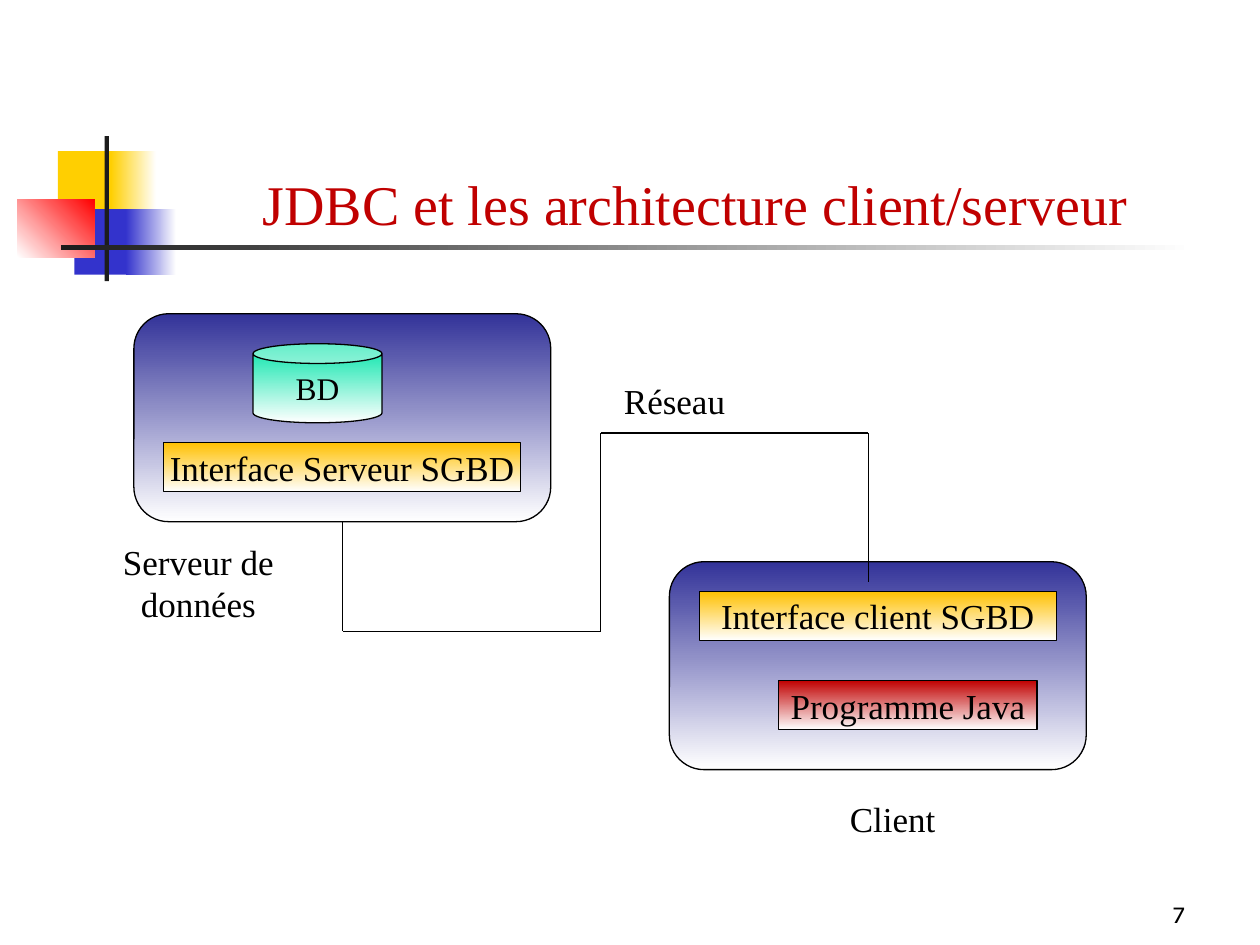
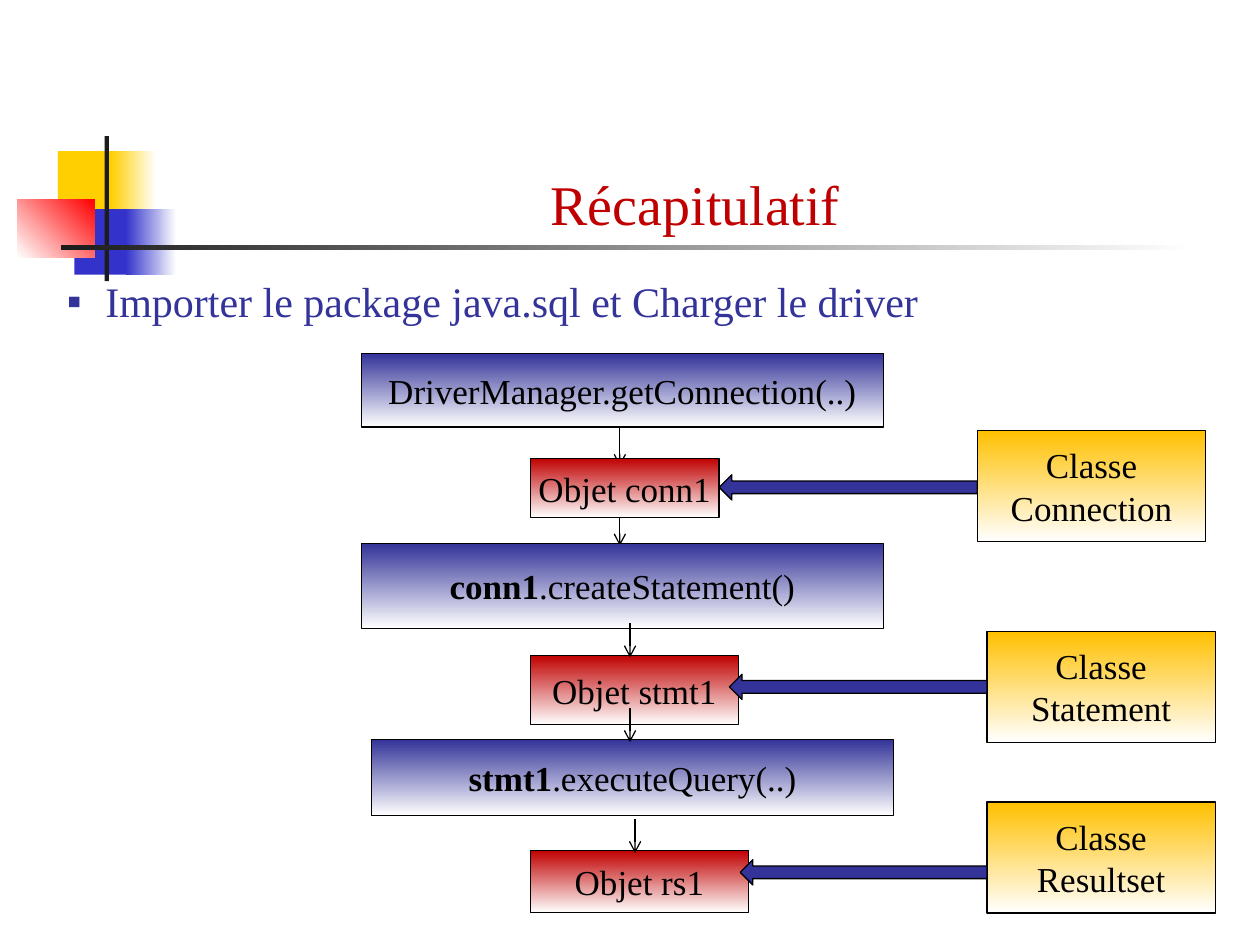
from itertools import pairwise

from lxml.etree import SubElement
from pptx import Presentation
from pptx.dml.color import RGBColor
from pptx.enum.shapes import MSO_CONNECTOR, MSO_SHAPE
from pptx.enum.text import MSO_ANCHOR, MSO_AUTO_SIZE, PP_ALIGN
from pptx.oxml.ns import qn
from pptx.util import Pt

BLACK, WHITE, CHARCOAL = "000000", "FFFFFF", "1C1C1C"
NAVY, AMBER, CRIMSON, MINT = "333399", "FFC000", "C00000", "00E4A8"
YELLOW, BLUE, RED = "FFCF01", "3333CC", "FF0000"
SERIF, SANS = "Times New Roman", "Karla"
TITLE_ONLY, TITLE_AND_BODY = 5, 1


def rgb(value):
    """Turn a hex string into a colour."""
    return RGBColor.from_string(value)


def place(shape, left, top, width, height):
    """Move and size a shape, in points."""
    shape.left, shape.top = Pt(left), Pt(top)
    shape.width, shape.height = Pt(width), Pt(height)


class Deck:
    """Holds the style and the slide being drawn."""

    def __init__(self):
        """Open an empty 10 by 7.5 inch presentation."""
        self.presentation = Presentation()
        self.presentation.slide_width = Pt(720)
        self.presentation.slide_height = Pt(540)
        self.slide = None

    def new_slide(self, layout, title):
        """Start a slide and set its title."""
        layouts = self.presentation.slide_layouts
        self.slide = self.presentation.slides.add_slide(layouts[layout])
        shape = self.slide.shapes.title
        place(shape, 90.7, 49, 613.4, 90)
        frame = shape.text_frame
        frame.vertical_anchor = MSO_ANCHOR.BOTTOM
        frame.auto_size = MSO_AUTO_SIZE.NONE
        self.fill_text(frame, title, size=32, color=CRIMSON)

    def fill_text(self, frame, text, size=20, color=BLACK, font=SERIF,
                  align=PP_ALIGN.CENTER, bold=""):
        """Fill a frame, one paragraph a line, after an optional bold start."""
        for index, line in enumerate(text.split("\n")):
            paragraph = frame.add_paragraph() if index else frame.paragraphs[0]
            if bold:
                paragraph.add_run().text = bold
                paragraph.runs[0].font.bold = True
            paragraph.add_run().text = line
            paragraph.alignment = align
            paragraph.font.name = font
            paragraph.font.size = Pt(size)
            paragraph.font.color.rgb = rgb(color)

    def shape(self, kind, box, color, fade_to=None, angle=270, outline=BLACK):
        """Add a preset shape with a plain or a fading fill."""
        shape = self.slide.shapes.add_shape(kind, *map(Pt, box))
        shape.shadow.inherit = False
        if fade_to:
            shape.fill.gradient()
            shape.fill.gradient_angle = angle
            for stop, value in zip(shape.fill.gradient_stops, (color, fade_to)):
                stop.color.rgb = rgb(value)
        else:
            shape.fill.solid()
            shape.fill.fore_color.rgb = rgb(color)
        if outline:
            shape.line.color.rgb = rgb(outline)
            shape.line.width = Pt(0.75)
        else:
            shape.line.fill.background()
        return shape

    def block(self, box, color, text, kind=MSO_SHAPE.RECTANGLE, size=20, bold=""):
        """Add a labelled shape that fades to white."""
        frame = self.shape(kind, box, color, WHITE).text_frame
        frame.word_wrap = False
        frame.vertical_anchor = MSO_ANCHOR.MIDDLE
        self.fill_text(frame, text, size, bold=bold)

    def label(self, box, text, anchor=MSO_ANCHOR.TOP, **style):
        """Add a free text."""
        frame = self.slide.shapes.add_textbox(*map(Pt, box)).text_frame
        frame.word_wrap = True
        frame.vertical_anchor = anchor
        self.fill_text(frame, text, **style)

    def line(self, start, end, arrow=False):
        """Add a thin black line, with an open arrowhead if asked."""
        connector = self.slide.shapes.add_connector(
            MSO_CONNECTOR.STRAIGHT, *map(Pt, (*start, *end)))
        connector.line.color.rgb = rgb(BLACK)
        connector.line.width = Pt(0.75)
        properties = connector.element.spPr
        if arrow:
            SubElement(properties.find(qn("a:ln")), qn("a:tailEnd"), type="arrow")
        SubElement(properties, qn("a:effectLst"))

    def bullet(self, box, text):
        """Put one square-bulleted item in the body placeholder."""
        shape = self.slide.placeholders[1]
        place(shape, *box)
        frame = shape.text_frame
        frame.auto_size = MSO_AUTO_SIZE.NONE
        self.fill_text(frame, text, size=24, color=NAVY, align=PP_ALIGN.LEFT)
        frame.paragraphs[0].space_before = Pt(0)
        properties = next(shape.element.iter(qn("a:pPr")))
        properties.set("marL", str(Pt(22)))
        properties.set("indent", str(-Pt(22)))
        mark = SubElement(properties, qn("a:buChar"), char="▪")
        properties.find(qn("a:defRPr")).addprevious(mark)

    def decorate_master(self):
        """Draw the coloured squares and rules, then move them to the master."""
        pieces = [
            ((33.1, 86.4, 34.6, 37.4), YELLOW, None, 0),
            ((63.4, 86.4, 25.9, 37.4), YELLOW, WHITE, 0),
            ((42.5, 119.5, 33.1, 37.4), BLUE, None, 0),
            ((72, 119.5, 28.8, 37.4), BLUE, WHITE, 0),
            ((10, 113.8, 44, 33.1), WHITE, RED, 45),
            ((59.8, 77.8, 2.5, 82.8), CHARCOAL, None, 0),
            ((34.6, 140.2, 648, 2.5), CHARCOAL, WHITE, 0),
        ]
        tree = self.presentation.slide_master.shapes.element
        for number, (box, color, fade_to, angle) in enumerate(pieces, 101):
            shape = self.shape(MSO_SHAPE.RECTANGLE, box, color, fade_to, angle, None)
            shape.element.nvSpPr.cNvPr.set("id", str(number))
            tree.append(shape.element)


def client_server(deck):
    """Draw the server, the client and the network between them."""
    deck.new_slide(TITLE_ONLY, "JDBC et les architecture client/serveur")
    deck.decorate_master()
    deck.label((534.2, 498.2, 149.8, 36), "7", MSO_ANCHOR.BOTTOM,
               size=14, font=SANS, align=PP_ALIGN.RIGHT)
    for left, top in ((76.5, 179.3), (382.5, 321)):
        deck.shape(MSO_SHAPE.ROUNDED_RECTANGLE, (left, top, 238.2, 118.8), NAVY, WHITE)
    deck.block((144.6, 196.4, 73.7, 45.2), MINT, "BD", MSO_SHAPE.CAN, 18)
    deck.block((93.5, 252.8, 204, 28.2), AMBER, "Interface Serveur SGBD")
    deck.block((399.6, 337.8, 204, 28.2), AMBER, "Interface client SGBD")
    deck.block((445, 388.8, 147.6, 28.2), CRIMSON, "Programme Java")
    network = [(195.8, 298), (195.8, 360.7), (343.3, 360.7),
               (343.3, 247.5), (496.2, 247.5), (496.2, 332.5)]
    for start, end in pairwise(network):
        deck.line(start, end)
    deck.label((42.5, 305.3, 141.8, 55.4), "Serveur de données")
    deck.label((439.2, 452.2, 141.8, 31.7), "Client")
    deck.label((314.6, 213.1, 141.8, 31.7), "Réseau")


def summary(deck):
    """Draw the chain of calls, the objects they return and their classes."""
    deck.new_slide(TITLE_AND_BODY, "Récapitulatif")
    deck.bullet((31, 154, 601, 36),
                "Importer le package java.sql et Charger le driver")
    for top in (244, 289.5):
        deck.line((354.2, top), (354.2, top + 22.3), arrow=True)
    calls = [
        (206.6, 202, 42, "", "DriverManager.getConnection(..)"),
        (206.6, 310.5, 48.7, "conn1", ".createStatement()"),
        (212.4, 422.6, 43.6, "stmt1", ".executeQuery(..)"),
    ]
    for left, top, height, variable, call in calls:
        deck.block((left, top, 298.2, height), NAVY, call, bold=variable)
    objects = [
        (262, 108, 33.8, "conn1"),
        (374.4, 119, 39.8, "stmt1"),
        (486, 124.8, 35.6, "rs1"),
    ]
    for top, width, height, name in objects:
        deck.block((303, top, width, height), CRIMSON, f"Objet {name}")
    classes = [
        (558.5, 246, "Connection", 411, 271.3),
        (564, 360.7, "Statement", 416.8, 385.3),
        (564, 458.3, "Resultset", 423, 491.3),
    ]
    for left, top, name, tip, arrow_top in classes:
        deck.block((left, top, 130.5, 63.4), AMBER, f"Classe\n{name}")
        deck.shape(MSO_SHAPE.LEFT_ARROW, (tip, arrow_top, left - tip, 14.4), NAVY)
    for left, top in ((360, 356.2), (362.9, 468), (360, 404.6)):
        deck.line((left, top), (left, top + 19.5), arrow=True)


def main():
    """Build both slides and save them."""
    deck = Deck()
    client_server(deck)
    summary(deck)
    deck.presentation.save("out.pptx")


main()
